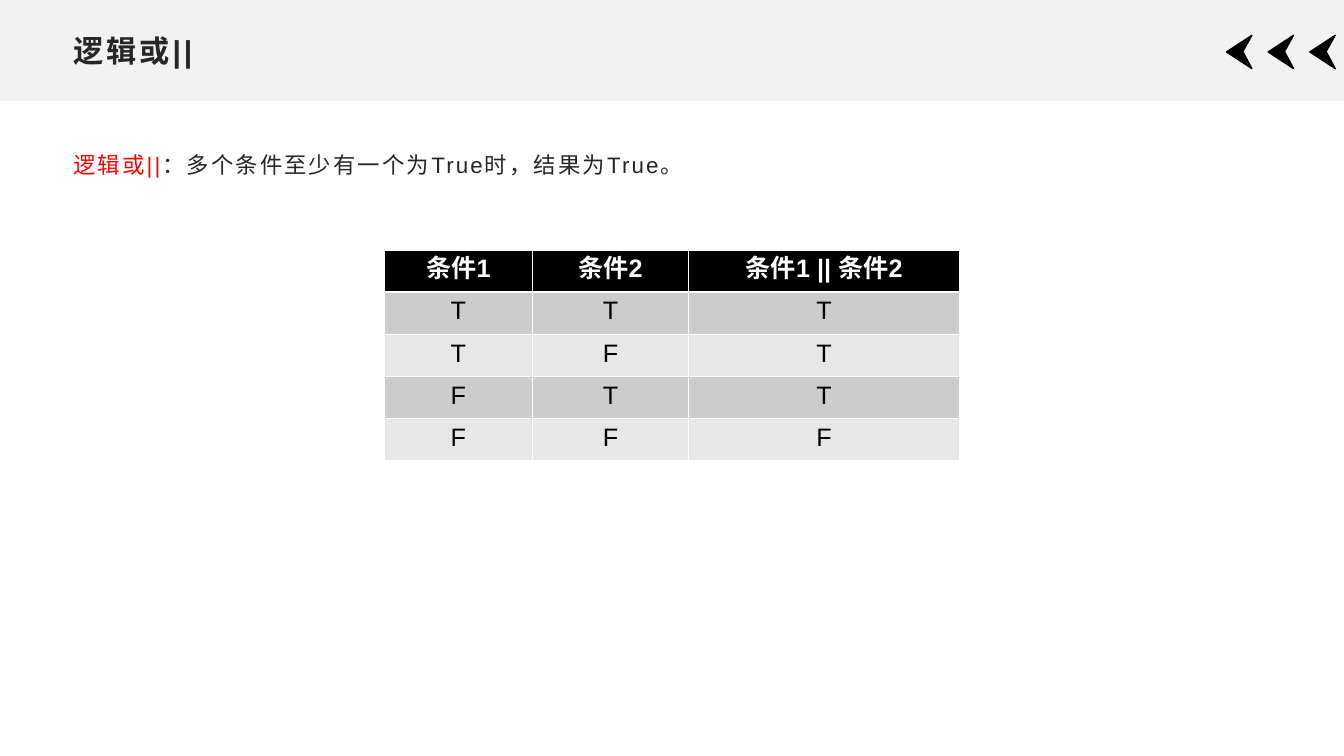
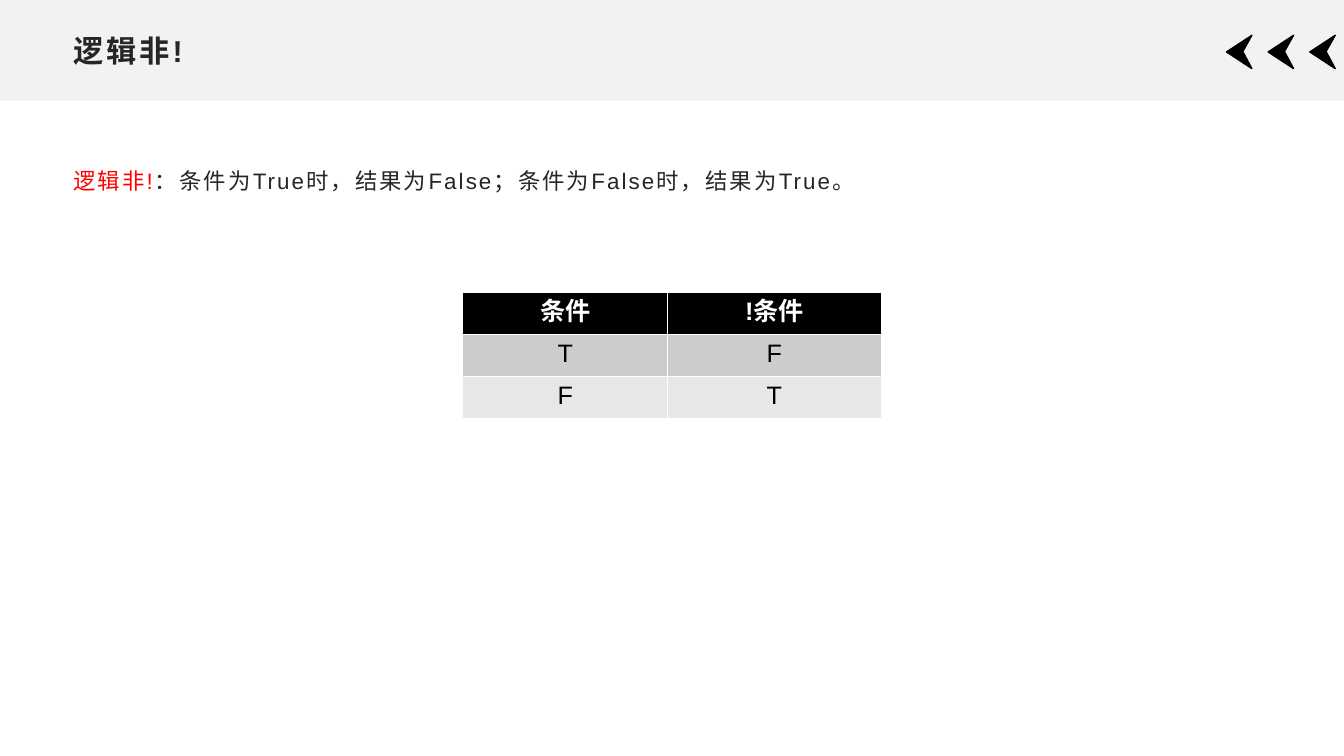
import pptx
import pptx.dml.color
import pptx.enum.lang
import pptx.enum.shapes
import pptx.enum.text
import pptx.oxml.ns
import pptx.util
from lxml import etree
from pptx.dml.color import RGBColor
from pptx.util import Cm

FONT = "Arial"
BLACK = RGBColor(0x00, 0x00, 0x00)
WHITE = RGBColor(0xFF, 0xFF, 0xFF)
INK = RGBColor(0x26, 0x26, 0x26)
RED = RGBColor(0xFF, 0x00, 0x00)
BAND_GREY = RGBColor(0xF2, 0xF2, 0xF2)
ROW_GREYS = (RGBColor(0xCC, 0xCC, 0xCC), RGBColor(0xE7, 0xE7, 0xE7))

SLIDE_WIDTH = Cm(33.87)
SLIDE_HEIGHT = Cm(19.05)
BAND_HEIGHT = Cm(2.54)
LEFT_MARGIN = Cm(1.6)
ROW_HEIGHT = Cm(1.06)
TITLE_ONLY = 5

ARROW_LEFTS = [30.91 + 1.05 * index for index in range(3)]
ARROW_OUTLINE = [(0.64, 1.73), (0, 1.31), (0.64, 0.89), (0.41, 1.3)]


def add_text(para, text, *, size, color, bold=False, spacing=0):
    """Append a run; spacing is the letter spacing in points."""
    span = para.add_run()
    span.text = text
    font = span.font
    font.name = FONT
    font.size = pptx.util.Pt(size)
    font.bold = bold
    font.color.rgb = color
    font.language_id = pptx.enum.lang.MSO_LANGUAGE_ID.SIMPLIFIED_CHINESE
    properties = span._r.get_or_add_rPr()
    if spacing:
        properties.set("spc", str(round(spacing * 100)))
    east_asian = etree.SubElement(properties, pptx.oxml.ns.qn("a:ea"))
    east_asian.set("typeface", FONT)


def fill_shape(shape, color):
    shape.shadow.inherit = False
    shape.fill.solid()
    shape.fill.fore_color.rgb = color


def add_band(page):
    """Place the header band behind the title."""
    band = page.shapes.add_shape(
        pptx.enum.shapes.MSO_SHAPE.RECTANGLE, 0, 0, SLIDE_WIDTH, BAND_HEIGHT)
    fill_shape(band, BAND_GREY)
    band.line.fill.background()
    page.shapes.title.element.addprevious(band.element)


def add_arrow(page, left):
    points = [(Cm(left + x), Cm(y)) for x, y in ARROW_OUTLINE]
    builder = page.shapes.build_freeform(*points[0])
    builder.add_line_segments(points[1:], close=True)
    arrow = builder.convert_to_shape()
    fill_shape(arrow, BLACK)
    arrow.line.color.rgb = BLACK
    arrow.line.width = pptx.util.Pt(1)


def add_page(deck, heading):
    page = deck.slides.add_slide(deck.slide_layouts[TITLE_ONLY])
    title = page.shapes.title
    title.left, title.top = LEFT_MARGIN, Cm(0.66)
    title.width, title.height = Cm(30.66), Cm(1.22)
    title.text_frame.vertical_anchor = pptx.enum.text.MSO_ANCHOR.MIDDLE
    para = title.text_frame.paragraphs[0]
    para.alignment = pptx.enum.text.PP_ALIGN.LEFT
    add_text(para, heading, size=21.6, color=INK, bold=True, spacing=2)
    add_band(page)
    for left in ARROW_LEFTS:
        add_arrow(page, left)
    return page


def add_definition(page, term, meaning, top, width):
    box = page.shapes.add_textbox(LEFT_MARGIN, top, width, Cm(1.22))
    box.text_frame.word_wrap = True
    para = box.text_frame.paragraphs[0]
    para.line_spacing = 1.3
    para.space_after = pptx.util.Pt(10)
    for text, color in ((term, RED), (meaning, INK)):
        add_text(para, text, size=16, color=color, spacing=1.5)


def add_truth_table(page, rows, top, column_widths):
    """Add a horizontally centred table whose first row is the header."""
    width = sum(column_widths)
    left = round((SLIDE_WIDTH - width) / 2)
    table = page.shapes.add_table(
        len(rows), len(column_widths), left, top, width,
        ROW_HEIGHT * len(rows)).table
    for column, column_width in zip(table.columns, column_widths):
        column.width = column_width
    for row_index, values in enumerate(rows):
        is_header = row_index == 0
        background = BLACK if is_header else ROW_GREYS[(row_index - 1) % 2]
        for column_index, value in enumerate(values):
            cell = table.cell(row_index, column_index)
            cell.fill.solid()
            cell.fill.fore_color.rgb = background
            para = cell.text_frame.paragraphs[0]
            para.alignment = pptx.enum.text.PP_ALIGN.CENTER
            add_text(para, value, size=18, bold=is_header,
                     color=WHITE if is_header else BLACK)


def main():
    deck = pptx.Presentation()
    deck.slide_width, deck.slide_height = SLIDE_WIDTH, SLIDE_HEIGHT

    or_page = add_page(deck, "逻辑或||")
    add_definition(or_page, "逻辑或||",
                   "：多个条件至少有一个为True时，结果为True。",
                   Cm(3.48), Cm(16.18))
    add_truth_table(
        or_page,
        [("条件1", "条件2", "条件1 || 条件2"),
         "TTT", "TFT", "FTT", "FFF"],
        Cm(6.3), [Cm(3.73), Cm(3.94), Cm(6.83)])

    not_page = add_page(deck, "逻辑非!")
    add_definition(not_page, "逻辑非!",
                   "：条件为True时，结果为False；条件为False时，结果为True。",
                   Cm(3.89), Cm(20.45))
    add_truth_table(not_page, [("条件", "!条件"), "TF", "FT"],
                    Cm(7.37), [Cm(5.16), Cm(5.38)])

    deck.save("out.pptx")


if __name__ == "__main__":
    main()
